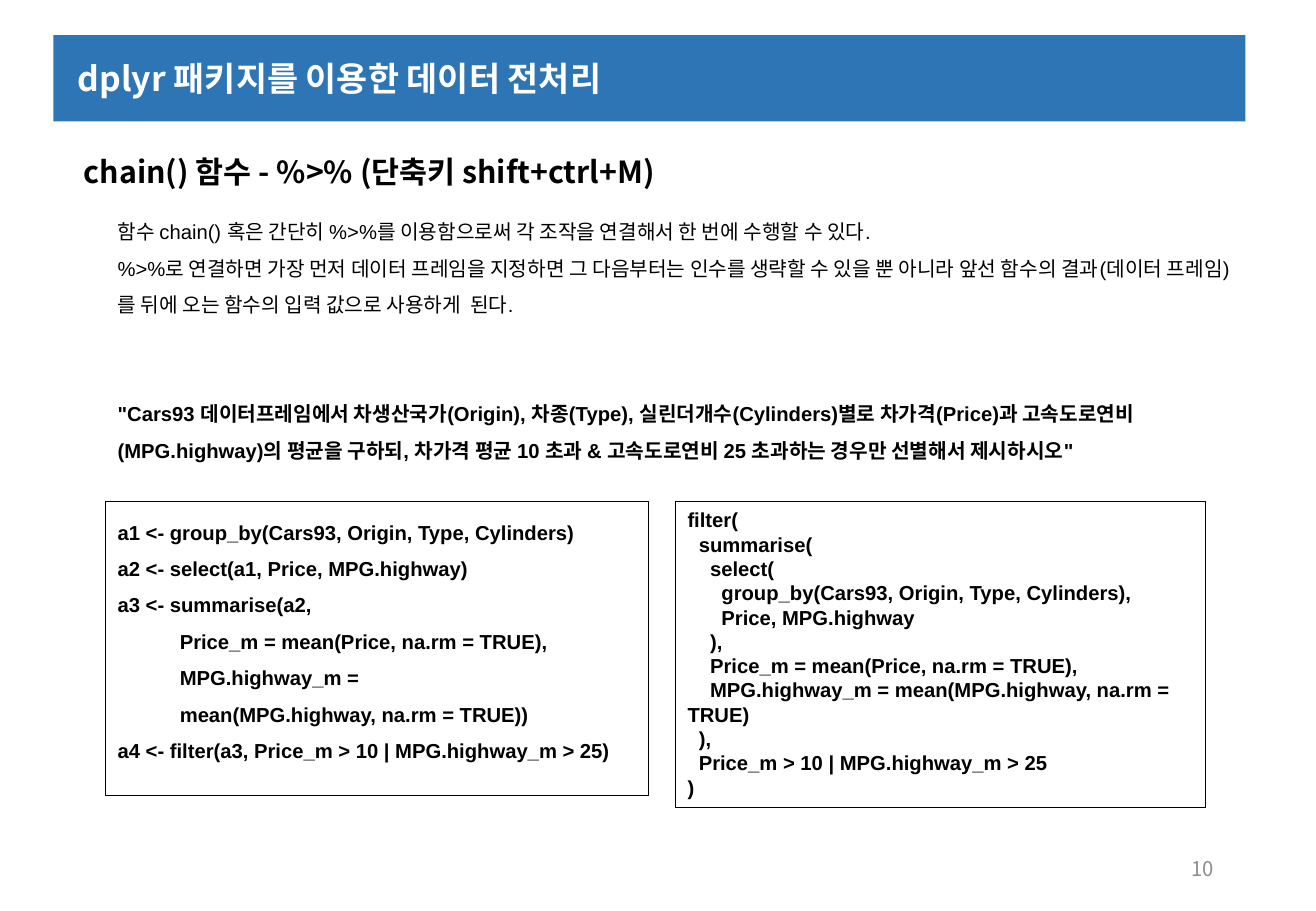
"""Build the slide on chaining data steps with dplyr."""
from dataclasses import dataclass

from lxml import etree
from pptx import Presentation
from pptx import util as u
from pptx.dml.color import RGBColor
from pptx.enum import shapes, text
from pptx.oxml.ns import qn
from pptx.slide import Slide


@dataclass(frozen=True)
class Theme:
    blue: str = "2E75B6"
    white: str = "FFFFFF"
    black: str = "000000"
    gray: str = "8C8C8C"
    sans: str = "Arial"
    hangul: str = "Noto Sans CJK KR"
    title: int = 20
    head: int = 18
    body: int = 12
    rule: float = 0.75
    step: float = 0.05


THEME = Theme()


@dataclass(frozen=True)
class Line:
    words: str
    depth: int = 0
    bold: bool = True
    gap: int = 0


@dataclass(frozen=True)
class Box:
    left: float
    top: float
    width: float
    height: float
    lines: tuple[Line, ...]
    size: int = THEME.body
    face: str = THEME.sans
    color: str = THEME.black
    fill: str = ""
    frame: bool = False
    space: float = 1.0
    inset: float = 0.1
    middle: bool = False
    right: bool = False


BOXES = (
    Box(0.44, 0.29, 9.81, 0.71, (Line("dplyr 패키지를 이용한 데이터 전처리"),),
        size=THEME.title, face=THEME.hangul, color=THEME.white,
        fill=THEME.blue, inset=0.2, middle=True),
    Box(7.65, 6.95, 2.44, 0.4, (Line("10", bold=False),),
        face=THEME.hangul, color=THEME.gray, middle=True, right=True),
    Box(0.54, 1.21, 7.48, 0.4, (Line("chain() 함수 - %>% (단축키 shift+ctrl+M)"),),
        size=THEME.head, face=THEME.hangul, inset=0.15),
    Box(0.87, 1.66, 9.37, 2.83, (
        Line("함수 chain() 혹은 간단히 %>%를 이용함으로써 각 조작을 연결해서 "
             "한 번에 수행할 수 있다.", bold=False),
        Line("%>%로 연결하면 가장 먼저 데이터 프레임을 지정하면 그 다음부터는 인수를 "
             "생략할 수 있을 뿐 아니라 앞선 함수의 결과(데이터 프레임)를 뒤에 오는 "
             "함수의 입력 값으로 사용하게  된다.", bold=False),
        Line('"Cars93 데이터프레임에서 차생산국가(Origin), 차종(Type), '
             "실린더개수(Cylinders)별로 차가격(Price)과 고속도로연비(MPG.highway)의 "
             "평균을 구하되, 차가격 평균 10 초과 & 고속도로연비 25 초과하는 경우만 "
             '선별해서 제시하시오"', gap=43),
    ), space=1.5),
    Box(5.56, 4.13, 4.36, 2.52, (
        Line("filter("),
        Line("summarise(", 2),
        Line("select(", 4),
        Line("group_by(Cars93, Origin, Type, Cylinders),", 6),
        Line("Price, MPG.highway", 6),
        Line("),", 4),
        Line("Price_m = mean(Price, na.rm = TRUE),", 4),
        Line("MPG.highway_m = mean(MPG.highway, na.rm = TRUE)", 4),
        Line("),", 2),
        Line("Price_m > 10 | MPG.highway_m > 25", 2),
        Line(")"),
    ), frame=True),
    Box(0.87, 4.13, 4.47, 2.42, (
        Line("a1 <- group_by(Cars93, Origin, Type, Cylinders)"),
        Line("a2 <- select(a1, Price, MPG.highway)"),
        Line("a3 <- summarise(a2,"),
        Line("Price_m = mean(Price, na.rm = TRUE),", 11),
        Line("MPG.highway_m =", 11),
        Line("mean(MPG.highway, na.rm = TRUE))", 11),
        Line("a4 <- filter(a3, Price_m > 10 | MPG.highway_m > 25)"),
    ), frame=True, space=1.5),
)


def write(para: text, line: Line, box: Box) -> None:
    para.text = line.words
    para.alignment = text.PP_ALIGN.RIGHT if box.right else text.PP_ALIGN.LEFT
    para.line_spacing = box.space
    para.space_before = u.Pt(line.gap)
    font = para.font
    font.size = u.Pt(box.size)
    font.bold = line.bold
    font.color.rgb = RGBColor.from_string(box.color)
    font.name = box.face
    props = para._p.get_or_add_pPr()
    props.set("indent", str(u.Inches(line.depth * THEME.step * 0.93)))
    etree.SubElement(props.find(qn("a:defRPr")), qn("a:ea"), typeface=THEME.hangul)


def draw(slide: Slide, box: Box) -> None:
    place = map(u.Inches, (box.left, box.top, box.width, box.height))
    if box.fill or box.frame:
        shape = slide.shapes.add_shape(shapes.MSO_SHAPE.RECTANGLE, *place)
        shape.shadow.inherit = False
    else:
        shape = slide.shapes.add_textbox(*place)
    if box.fill:
        shape.fill.solid()
        shape.fill.fore_color.rgb = RGBColor.from_string(box.fill)
    else:
        shape.fill.background()
    if box.frame:
        shape.line.color.rgb = RGBColor.from_string(THEME.black)
        shape.line.width = u.Pt(THEME.rule)
    else:
        shape.line.fill.background()
    frame = shape.text_frame
    frame.word_wrap = True
    frame.margin_left = u.Inches(box.inset)
    anchor = text.MSO_ANCHOR
    frame.vertical_anchor = anchor.MIDDLE if box.middle else anchor.TOP
    for spot, line in enumerate(box.lines):
        para = frame.add_paragraph() if spot else frame.paragraphs[0]
        write(para, line, box)


def main() -> None:
    deck = Presentation()
    deck.slide_width = u.Inches(10.83)
    deck.slide_height = u.Inches(7.5)
    slide = deck.slides.add_slide(deck.slide_layouts[6])
    for box in BOXES:
        draw(slide, box)
    deck.save("out.pptx")


if __name__ == "__main__":
    main()
